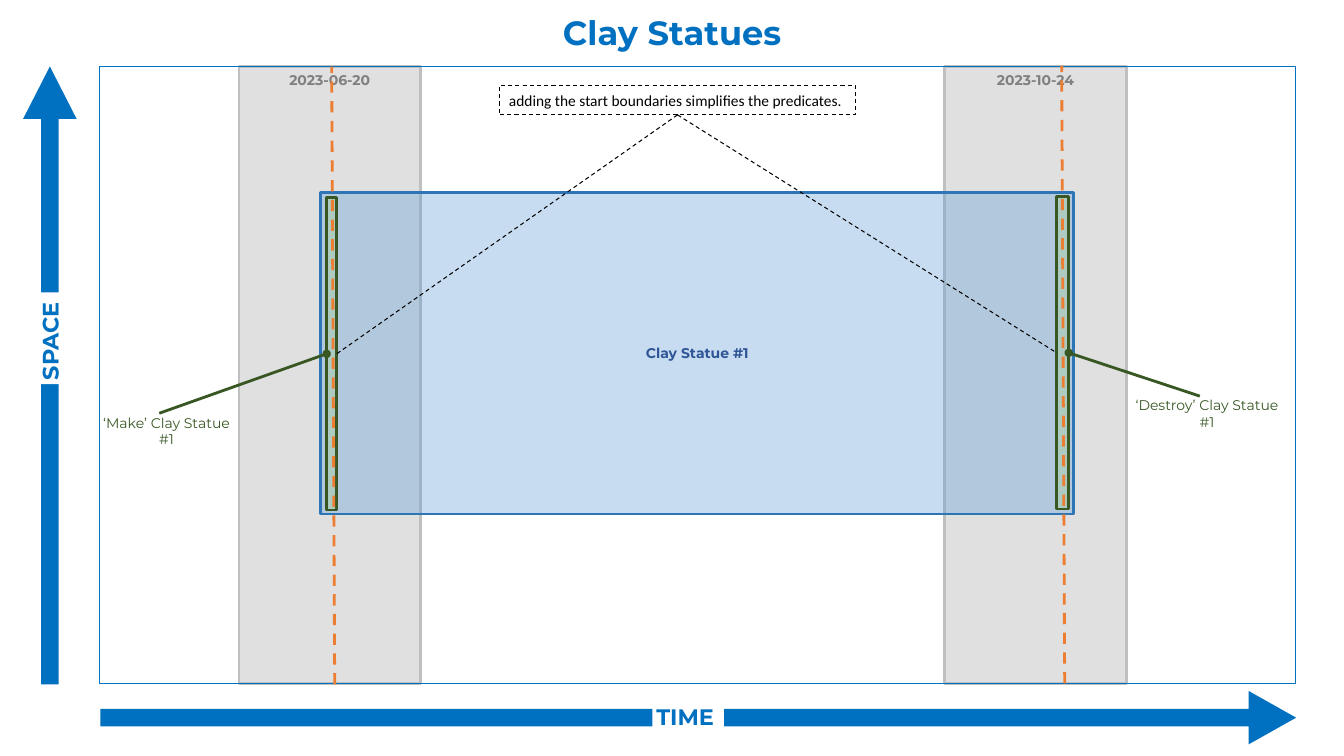
"""Build the Clay Statues space-time slide."""
from lxml import etree
from pptx import Presentation, util as u
from pptx.dml import color
from pptx.enum import dml, shapes, text
from pptx.oxml import ns

BLUE, GREEN, ORANGE, BLACK, WHITE = "0070C0", "385723", "ED7D31", "000000", "FFFFFF"
BOX, ARROW = shapes.MSO_SHAPE.RECTANGLE, shapes.MSO_SHAPE.UP_ARROW
LEFT, MID = text.PP_ALIGN.LEFT, text.PP_ALIGN.CENTER
TOP, HALF = text.MSO_ANCHOR.TOP, text.MSO_ANCHOR.MIDDLE
THIN = (0.04, 0, 0.04, 0)


def paint(code):
    """Turn a hex string into a colour."""
    return color.RGBColor.from_string(code)


class Board:
    """Hold the style and the current slide."""

    font = "Montserrat"

    def __init__(self, deck):
        """Add a blank slide to the deck."""
        self.slide = deck.slides.add_slide(deck.slide_layouts[6])

    def stroke(self, line, tint, width, dash=False):
        """Set colour, width and dash of a line."""
        line.color.rgb = paint(tint)
        line.width = u.Pt(width)
        if dash:
            line.dash_style = dml.MSO_LINE.DASH

    def shape(self, spot, fill=None, alpha=None, line=None, kind=BOX, adjust=(), turn=0):
        """Add a preset shape."""
        item = self.slide.shapes.add_shape(kind, *map(u.Inches, spot))
        item.shadow.inherit = False
        item.rotation = turn
        for i, value in enumerate(adjust):
            item.adjustments[i] = value
        if fill:
            item.fill.solid()
            item.fill.fore_color.rgb = paint(fill)
        else:
            item.fill.background()
        if alpha:
            tone = item.element.spPr.find(ns.qn("a:solidFill"))[0]
            etree.SubElement(tone, ns.qn("a:alpha"), val=str(alpha * 1000))
        if line:
            self.stroke(item.line, *line)
        else:
            item.line.fill.background()
        return item

    def label(self, spot):
        """Add a plain text box."""
        return self.slide.shapes.add_textbox(*map(u.Inches, spot))

    def letter(self, item, words, size, tint, bold=False, align=MID, anchor=TOP,
               inset=(0.1, 0.05, 0.1, 0.05), wrap=True, font=None):
        """Put one run of text into a shape."""
        frame = item.text_frame
        frame.word_wrap = wrap
        frame.vertical_anchor = anchor
        (frame.margin_left, frame.margin_top,
         frame.margin_right, frame.margin_bottom) = map(u.Inches, inset)
        para = frame.paragraphs[0]
        para.alignment = align
        run = para.add_run()
        run.text = words
        run.font.name = font or self.font
        run.font.size = u.Pt(size)
        run.font.bold = bold
        run.font.color.rgb = paint(tint)

    def line(self, start, end, tint, width, dash=False):
        """Add a straight line between two points."""
        link = self.slide.shapes.add_connector(
            shapes.MSO_CONNECTOR.STRAIGHT, *map(u.Inches, (*start, *end)))
        self.stroke(link.line, tint, width, dash)
        etree.SubElement(link.element.spPr, ns.qn("a:effectLst"))
        return link

    def join(self, first, side, last, edge, tint, width, dash=False, dot=False):
        """Link the sides of two shapes."""
        link = self.line((0, 0), (1, 1), tint, width, dash)
        link.begin_connect(first, side)
        link.end_connect(last, edge)
        if dot:
            stroke = link.element.spPr.find(ns.qn("a:ln"))
            etree.SubElement(stroke, ns.qn("a:tailEnd"), type="oval")


def main():
    """Draw the slide and save it."""
    deck = Presentation()
    deck.slide_width, deck.slide_height = u.Inches(13.33), u.Inches(7.5)
    board = Board(deck)

    for left, date in ((2.37, "2023-06-20"), (9.37, "2023-10-24")):
        band = board.shape((left, 0.66, 1.8, 6.12), "A6A6A6", 34, ("BFBFBF", 2))
        board.letter(band, date, 10, "808080", True)

    axes = (
        ("SPACE", (0.23, 0.66, 0.53, 6.13), 0.98, 0, (0.04, 3.22, 0.91, 0.27), 270, True),
        ("TIME", (6.66, 1.19, 0.53, 11.86), 0.89, 90, (6.47, 6.98, 0.71, 0.27), 0, False),
    )
    for name, spot, head, turn, place, tilt, wrap in axes:
        board.shape(spot, BLUE, kind=ARROW, adjust=(0.33, head), turn=turn)
        tag = board.shape(place, WHITE, turn=tilt)
        board.letter(tag, name, 16, BLUE, True, LEFT, inset=THIN, wrap=wrap)

    title = board.label((5.46, 0.12, 2.41, 0.4))
    board.letter(title, "Clay Statues", 24, BLUE, True, inset=THIN, wrap=False)
    board.shape((0.99, 0.66, 11.86, 6.12), line=(BLUE, 1))

    statue = board.shape((3.18, 1.91, 7.47, 3.19), "5B9BD5", 34, ("2E75B6", 2))
    board.letter(statue, "Clay Statue #1", 10, "2F5597", True, anchor=HALF)
    make, destroy = [
        board.shape(spot, "A9D18E", 34, (GREEN, 2))
        for spot in ((3.24, 1.96, 0.1, 3.1), (10.48, 1.95, 0.12, 3.1))]

    board.line((3.32, 6.79), (3.29, 0.66), ORANGE, 2, True)
    note = board.shape((4.95, 0.85, 3.54, 0.29), line=(BLACK, 0.75, True))
    board.letter(note, "adding the start boundaries simplifies the predicates.",
                 11, BLACK, align=LEFT, font="Calibri")
    for bar, side in ((make, 3), (destroy, 1)):
        board.join(note, 2, bar, side, BLACK, 0.75, dash=True)
    board.line((10.56, 6.78), (10.53, 0.65), ORANGE, 2, True)

    events = (
        ("‘Make’ Clay Statue #1", (0.72, 4.1, 1.72, 0.35), make, 1),
        ("‘Destroy’ Clay Statue #1", (11, 3.93, 1.8, 0.35), destroy, 3),
    )
    for words, spot, bar, side in events:
        event = board.label(spot)
        board.letter(event, words, 10, GREEN, anchor=HALF, inset=(0.24, 0.05, 0.1, 0.05))
        board.join(event, 0, bar, side, GREEN, 2, dot=True)

    deck.save("out.pptx")


if __name__ == "__main__":
    main()
